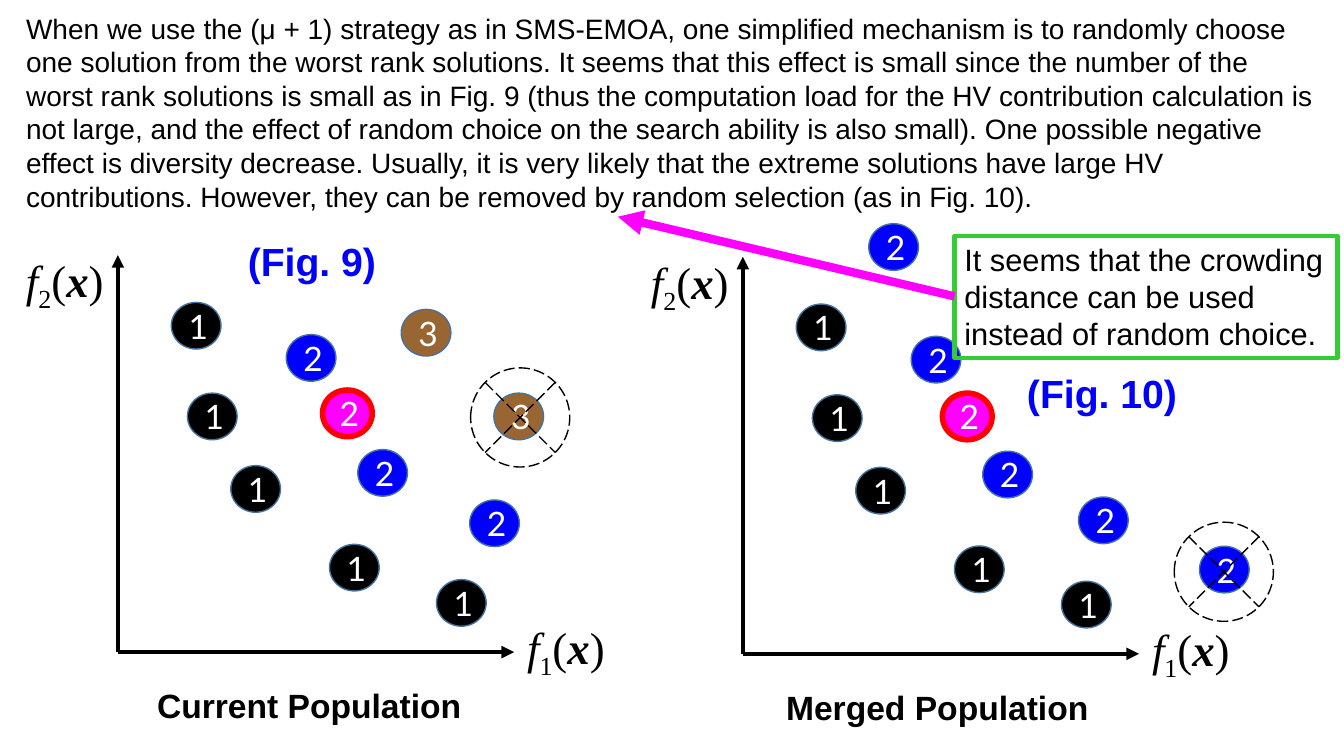
from pptx import Presentation
from pptx.dml.color import RGBColor
from pptx.enum.dml import MSO_LINE
from pptx.enum.shapes import MSO_CONNECTOR, MSO_SHAPE
from pptx.enum.text import MSO_ANCHOR, MSO_AUTO_SIZE, PP_ALIGN
from pptx.oxml.ns import qn
from pptx.util import Pt
from lxml.etree import SubElement

BLACK = RGBColor(0x00, 0x00, 0x00)
WHITE = RGBColor(0xFF, 0xFF, 0xFF)
BLUE = RGBColor(0x00, 0x00, 0xFF)
BROWN = RGBColor(0x99, 0x66, 0x33)
MAGENTA = RGBColor(0xFF, 0x00, 0xFF)
RED = RGBColor(0xFF, 0x00, 0x00)
GREEN = RGBColor(0x33, 0xCC, 0x33)
STEEL = RGBColor(0x43, 0x73, 0x9E)

PANEL_DX, PANEL_DY = 446.4, 1.2
DOT_WIDTH, DOT_HEIGHT = 35.5, 33.3
REMOVED_SIZE = 70.8

deck = Presentation()
deck.slide_width, deck.slide_height = Pt(960), Pt(540)
page = deck.slides.add_slide(deck.slide_layouts[6])


def add_text(shapes, place, spans, size, color=BLACK, font="Arial", bold=False, wrap=False):
    """Add a text box whose spans are (text, bold, italic, subscript) or one string."""
    box = shapes.add_textbox(*map(Pt, place))
    frame = box.text_frame
    frame.word_wrap = wrap
    frame.auto_size = MSO_AUTO_SIZE.SHAPE_TO_FIT_TEXT
    if isinstance(spans, str):
        spans = [(spans, bold, False, False)]
    for text, strong, italic, subscript in spans:
        span = frame.paragraphs[0].add_run()
        span.text = text
        span.font.name, span.font.size = font, Pt(size)
        span.font.bold, span.font.italic = strong, italic
        span.font.color.rgb = color
        if subscript:
            span._r.get_or_add_rPr().set("baseline", "-25000")
    return box


def add_arrow(shapes, start, end, color, width):
    """Add a straight arrow with a triangle head at its end."""
    arrow = shapes.add_connector(MSO_CONNECTOR.STRAIGHT, *map(Pt, start + end))
    arrow.line.color.rgb, arrow.line.width = color, Pt(width)
    SubElement(arrow.line._get_or_add_ln(), qn("a:tailEnd"), type="triangle")
    SubElement(arrow._element.spPr, qn("a:effectLst"))


# Solutions present in both populations, placed relative to each panel
shared_dots = [
    (122.4, 216, "1", BLACK), (133.9, 280.8, "1", BLACK), (164.9, 332.6, "1", BLACK),
    (235.4, 388.8, "1", BLACK), (311.8, 414, "1", BLACK),
    (204.5, 239, "2", BLUE), (255.6, 321.1, "2", BLUE),
]
# Solutions of a single population, placed on the page
current_dots = [
    (335.5, 357.1, "2", BLUE), (286.6, 221, "3", BROWN),
    (352.8, 280.8, "3", BROWN), (230.4, 278.6, "2", MAGENTA),
]
merged_dots = [
    (856.8, 390.2, "2", BLUE), (673.2, 280.8, "2", MAGENTA),
    (770.4, 355, "2", BLUE), (620.6, 159.8, "2", BLUE),
]

for panel, own_dots in enumerate([current_dots, merged_dots]):
    dx, dy = panel * PANEL_DX, panel * PANEL_DY
    axes = page.shapes.add_group_shape().shapes
    origin = (84.2 + dx, 465.8 + dy)
    add_arrow(axes, origin, (84.2 + dx, 182.2 + dy), BLACK, 3)
    add_arrow(axes, origin, (367.2 + dx, 465.8 + dy), BLACK, 3)
    for index, left, top in [("2", 11.5, 177.1), ("1", 369.4, 439)]:
        label = [("f", False, True, False), (index, False, False, True),
                 ("(", False, False, False), ("x", True, True, False),
                 (")", False, False, False)]
        add_text(axes, (left + dx, top + dy, 72, 46), label, 32, font="Times New Roman")

    placed_dots = [(left + dx, top + dy, rank, fill) for left, top, rank, fill in shared_dots]
    for left, top, rank, fill in placed_dots + own_dots:
        dot = page.shapes.add_shape(MSO_SHAPE.OVAL, Pt(left), Pt(top), Pt(DOT_WIDTH), Pt(DOT_HEIGHT))
        dot.shadow.inherit = False
        dot.fill.solid()
        dot.fill.fore_color.rgb = fill
        picked = fill == MAGENTA
        dot.line.color.rgb, dot.line.width = (RED, Pt(4)) if picked else (STEEL, Pt(1))
        dot.text_frame.text = rank
        dot.text_frame.vertical_anchor = MSO_ANCHOR.MIDDLE
        para = dot.text_frame.paragraphs[0]
        para.alignment = PP_ALIGN.CENTER
        font = para.runs[0].font
        font.name, font.size, font.color.rgb = "Lato", Pt(24), WHITE

add_text(page.shapes, (105.1, 486, 234, 36), "Current Population", 24, bold=True)
add_text(page.shapes, (554.4, 487.4, 232.6, 36), "Merged Population", 24, bold=True)
add_text(page.shapes, (169.9, 166.3, 107.3, 41), "(Fig. 9)", 28, BLUE, bold=True)
add_text(page.shapes, (726.5, 260.6, 123.1, 41), "(Fig. 10)", 28, BLUE, bold=True)

add_text(
    page.shapes, (11.5, 4.3, 934.6, 152.6),
    "When we use the (μ + 1) strategy as in SMS-EMOA, one simplified mechanism is to "
    "randomly choose one solution from the worst rank solutions. It seems that this effect "
    "is small since the number of the worst rank solutions is small as in Fig. 9 (thus the "
    "computation load for the HV contribution calculation is not large, and the effect of "
    "random choice on the search ability is also small). One possible negative effect is "
    "diversity decrease. Usually, it is very likely that the extreme solutions have large HV "
    "contributions. However, they can be removed by random selection (as in Fig. 10).",
    20, wrap=True)

remark = add_text(
    page.shapes, (681.8, 168.5, 273.6, 87.1),
    "It seems that the crowding distance can be used instead of random choice.",
    22, wrap=True)
remark.line.color.rgb, remark.line.width = GREEN, Pt(3)

for left, top in [(838.8, 373), (336.2, 262.8)]:
    removed = page.shapes.add_shape(MSO_SHAPE.FLOWCHART_SUMMING_JUNCTION, Pt(left), Pt(top),
                                    Pt(REMOVED_SIZE), Pt(REMOVED_SIZE))
    removed.shadow.inherit = False
    removed.fill.background()
    removed.line.color.rgb, removed.line.width = BLACK, Pt(1)
    removed.line.dash_style = MSO_LINE.LONG_DASH

add_arrow(page.shapes, (681.8, 211.7), (441.4, 154.8), MAGENTA, 6)

deck.save("out.pptx")
